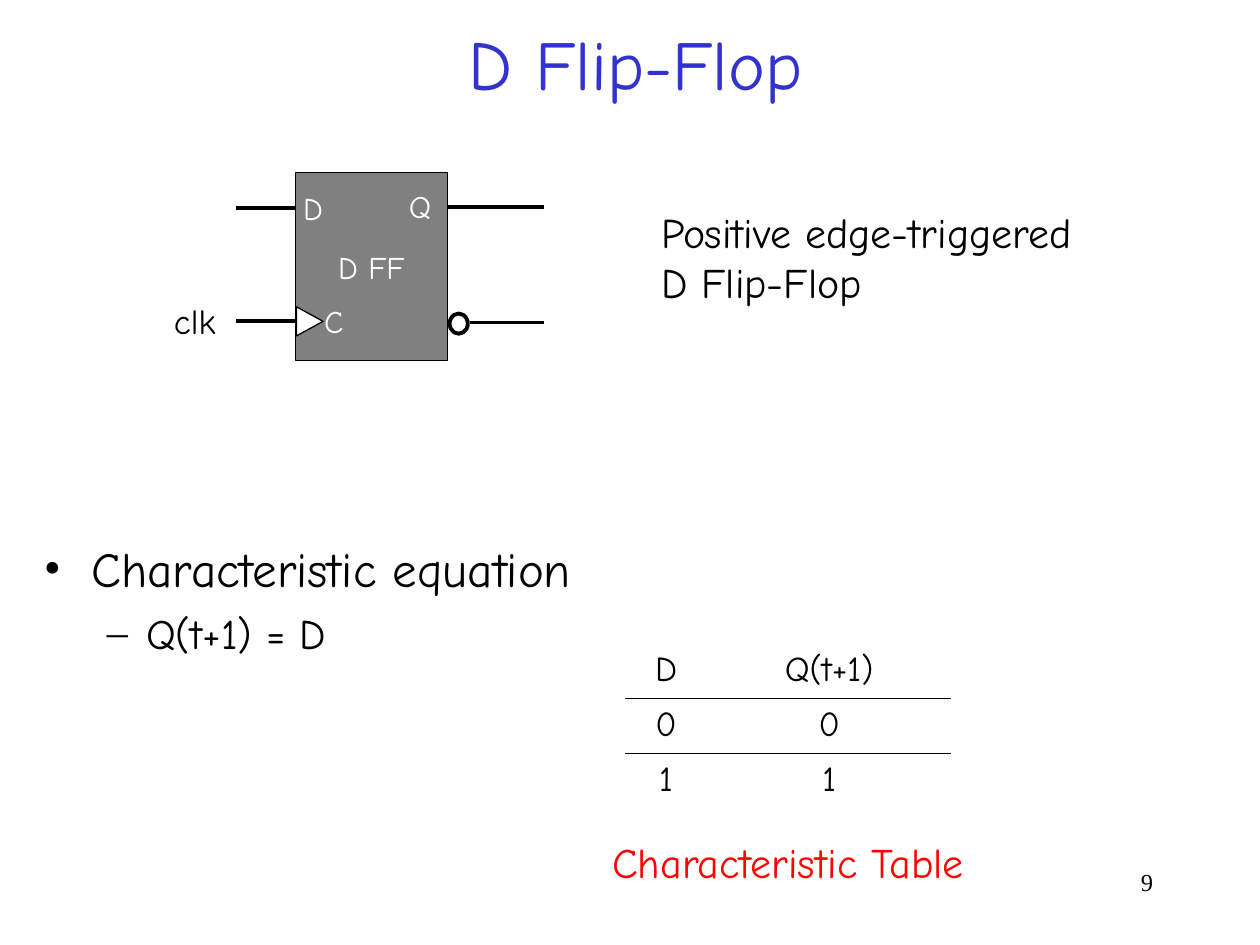
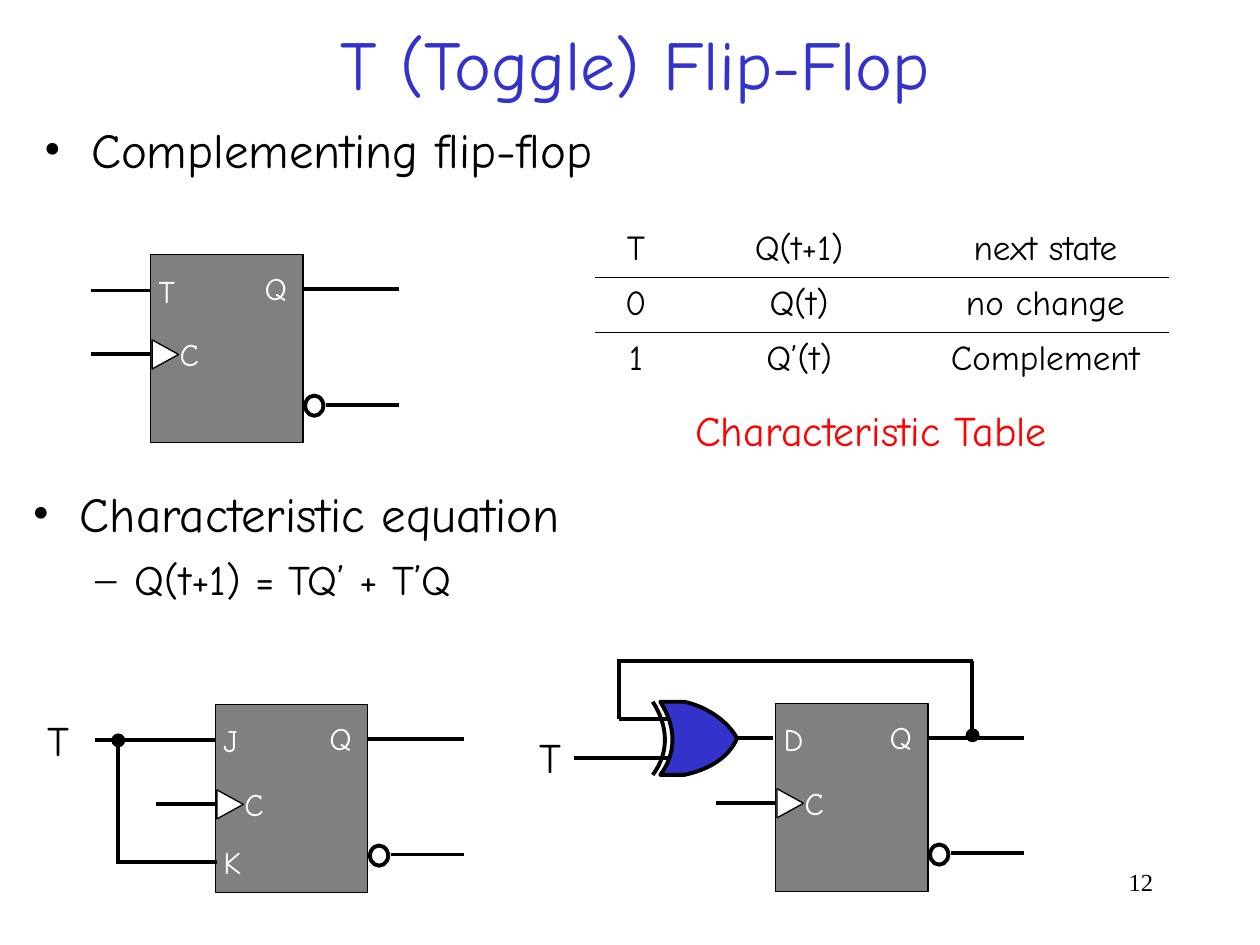
from lxml.etree import SubElement
from pptx import Presentation
from pptx.dml.color import RGBColor
from pptx.enum.shapes import MSO_CONNECTOR, MSO_SHAPE
from pptx.enum.text import MSO_ANCHOR, MSO_AUTO_SIZE, PP_ALIGN
from pptx.oxml import parse_xml
from pptx.oxml.ns import nsdecls, qn
from pptx.util import Pt

BLACK, WHITE, GREY, BLUE, RED = "000000", "FFFFFF", "808080", "3333CC", "FF0000"
HAND, SERIF = "Comic Neue", "Times New Roman"
THIN, THICK = 0.75, 2.25
PLAIN_TABLE = "{2D5ABB26-0587-4C30-8999-92F81FD0307C}"
# bullet sign, left margin, first-line indent, size, space before
LEVELS = [("•", 27, -27, 28, 0), ("–", 58.5, -22.5, 24, 6)]


def ink(code):
    return RGBColor.from_string(code)


def put(thing, **values):
    for name, value in values.items():
        setattr(thing, name, value)


def bend(a, b, c, d, steps=16):
    """Points along a cubic curve from a to d."""
    points = []
    for i in range(steps + 1):
        t = i / steps
        s = 1 - t
        points.append(tuple(s**3 * p + 3 * s * s * t * q + 3 * s * t * t * r + t**3 * u
                            for p, q, r, u in zip(a, b, c, d)))
    return points


class Deck:
    def __init__(self):
        self.file = Presentation()
        put(self.file, slide_width=Pt(720), slide_height=Pt(540))
        self.slide = None

    def page(self, title, number):
        self.slide = self.file.slides.add_slide(self.file.slide_layouts[5])
        head = self.slide.shapes.title
        put(head, left=Pt(18), top=Pt(0), width=Pt(690), height=Pt(72))
        put(head.text_frame, vertical_anchor=MSO_ANCHOR.MIDDLE, word_wrap=True,
            auto_size=MSO_AUTO_SIZE.NONE)
        self.say(head.text_frame.paragraphs[0], title, 40, BLUE, PP_ALIGN.CENTER)
        self.text(516, 492, 150, 36, number, 14, align=PP_ALIGN.RIGHT, face=SERIF)

    def say(self, para, words, size, color=BLACK, align=PP_ALIGN.LEFT, face=HAND):
        para.alignment = align
        run = para.add_run()
        run.text = words
        put(run.font, size=Pt(size), name=face, bold=False)
        run.font.color.rgb = ink(color)

    def box(self, x, y, wide, high, inset=True):
        frame = self.slide.shapes.add_textbox(Pt(x), Pt(y), Pt(wide), Pt(high)).text_frame
        side, edge = (Pt(7.2), Pt(3.6)) if inset else (0, 0)
        put(frame, word_wrap=True, margin_left=side, margin_right=side,
            margin_top=edge, margin_bottom=edge)
        return frame

    def text(self, x, y, wide, high, words, size, color=BLACK, inset=True, **look):
        frame = self.box(x, y, wide, high, inset)
        for i, line in enumerate(words.split("\n")):
            para = frame.add_paragraph() if i else frame.paragraphs[0]
            self.say(para, line, size, color, **look)

    def label(self, x, y, words, size=18, color=WHITE):
        self.text(x, y, 40, 22, words, size, color, inset=False)

    def points(self, x, y, high, *lines):
        """Bulleted lines, each one level below the line before."""
        frame = self.box(x, y, 690, high)
        for i, (line, level) in enumerate(zip(lines, LEVELS)):
            sign, margin, indent, size, gap = level
            para = frame.add_paragraph() if i else frame.paragraphs[0]
            put(para, level=i, space_before=Pt(gap))
            props = para._p.get_or_add_pPr()
            props.set("marL", str(Pt(margin)))
            props.set("indent", str(Pt(indent)))
            SubElement(props, qn("a:buFont")).set("typeface", SERIF)
            SubElement(props, qn("a:buChar")).set("char", sign)
            self.say(para, line, size)

    def paint(self, shape, fill, weight):
        shape.shadow.inherit = False
        if fill:
            shape.fill.solid()
            shape.fill.fore_color.rgb = ink(fill)
        else:
            shape.fill.background()
        shape.line.color.rgb = ink(BLACK)
        shape.line.width = Pt(weight)

    def shape(self, kind, x, y, wide, high, fill=None, weight=THIN):
        item = self.slide.shapes.add_shape(kind, Pt(x), Pt(y), Pt(wide), Pt(high))
        self.paint(item, fill, weight)
        return item

    def dot(self, x, y):
        self.shape(MSO_SHAPE.OVAL, x - 3.6, y - 3.6, 7.2, 7.2, BLACK)

    def wire(self, x1, y1, x2, y2):
        line = self.slide.shapes.add_connector(
            MSO_CONNECTOR.STRAIGHT, Pt(x1), Pt(y1), Pt(x2), Pt(y2))
        line.line.color.rgb = ink(BLACK)
        line.line.width = Pt(THICK)
        SubElement(line._element.spPr, qn("a:effectLst"))

    def curve(self, spots, fill=None, close=False):
        first, *rest = [(Pt(x), Pt(y)) for x, y in spots]
        pen = self.slide.shapes.build_freeform(*first)
        pen.add_line_segments(rest, close=close)
        self.paint(pen.convert_to_shape(), fill, THICK)

    def xor(self, x, y):
        """XOR gate whose rear arc starts at x, y."""
        def at(*spots):
            return [(x + dx, y + dy) for dx, dy in spots]

        top = bend(*at((18, 0), (31.6, 3), (43.2, 11.6), (48.2, 20.9)))
        low = bend(*at((48.2, 20.9), (43.2, 32.4), (31.6, 38.9), (18, 41.8)))
        rear = bend(*at((4.3, 41.8), (13.6, 29.6), (13.6, 14.4), (4.3, 0)))
        self.curve(top + low + rear, BLUE, close=True)
        self.curve([(px - 4.3, py) for px, py in rear])

    def flip(self, x, y, pin, lead=34, clock=57, name=""):
        """Flip-flop with its top left corner at x, y."""
        body = self.shape(MSO_SHAPE.RECTANGLE, x, y, 87, 107.3, GREY)
        if name:
            frame = body.text_frame
            frame.vertical_anchor = MSO_ANCHOR.MIDDLE
            self.say(frame.paragraphs[0], name, 18, WHITE, PP_ALIGN.CENTER)
        if lead:
            self.wire(x, y + 20.5, x - lead, y + 20.5)
        self.wire(x, y + clock, x - 34, y + clock)
        self.wire(x + 87, y + 19.5, x + 142, y + 19.5)
        self.wire(x + 100, y + 85.7, x + 142, y + 85.7)
        self.shape(MSO_SHAPE.OVAL, x + 88.2, y + 80.6, 10.4, 11.5, weight=THICK)
        notch = self.shape(MSO_SHAPE.ISOSCELES_TRIANGLE, x, y + clock - 7.5, 16.6, 15.1, WHITE)
        notch.rotation = 90
        self.label(x + 4.5, y + 9.7, pin)
        self.label(x + 65, y + 8.2, "Q")
        self.label(x + 16.5, y + clock - 11, "C")

    def table(self, x, y, widths, rows):
        high = 31.2
        grid = self.slide.shapes.add_table(
            len(rows), len(widths), Pt(x), Pt(y), Pt(sum(widths)), Pt(high * len(rows))).table
        put(grid, first_row=False, horz_banding=False)
        grid._tbl.tblPr[0].text = PLAIN_TABLE
        for col, wide in zip(grid.columns, widths):
            col.width = Pt(wide)
        for r, row in enumerate(rows):
            grid.rows[r].height = Pt(high)
            for c, words in enumerate(row):
                cell = grid.cell(r, c)
                cell.fill.background()
                self.say(cell.text_frame.paragraphs[0], words, 20, align=PP_ALIGN.CENTER)
                if r < 2:
                    self.rule(cell, "lnT" if r else "lnB")

    def rule(self, cell, side):
        """Thin black border on one side of a cell."""
        cell._tc.get_or_add_tcPr().insert(0, parse_xml(
            f'<a:{side} {nsdecls("a")} w="{Pt(0.45)}"><a:solidFill>'
            f'<a:srgbClr val="{BLACK}"/></a:solidFill></a:{side}>'))

    def caption(self, x, y):
        self.text(x, y, 240, 36, "Characteristic Table", 24, RED)


def main():
    deck = Deck()

    deck.page("D Flip-Flop", "9")
    deck.points(18, 304, 79, "Characteristic equation", "Q(t+1) = D")
    deck.flip(168.7, 98.6, "D", clock=85, name="D FF")
    deck.label(99.4, 171.4, "clk", 20, BLACK)
    deck.text(370.8, 114.5, 265, 65, "Positive edge-triggered\nD Flip-Flop", 24)
    deck.table(357.2, 368, [46.8, 139.7], [("D", "Q(t+1)"), ("0", "0"), ("1", "1")])
    deck.caption(342.7, 474.5)

    deck.page("T (Toggle) Flip-Flop", "12")
    deck.points(18, 64.8, 45, "Complementing flip-flop")
    deck.flip(86.2, 145.5, "T")
    deck.table(340, 127.4, [46.8, 139.7, 141.8], [
        ("T", "Q(t+1)", "next state"),
        ("0", "Q(t)", "no change"),
        ("1", "Q’(t)", "Complement")])
    deck.caption(390.2, 227.5)
    deck.points(11.5, 273, 77, "Characteristic equation", "Q(t+1) = TQ’ + T’Q")

    # T flip-flop from a JK flip-flop
    deck.flip(123.2, 402.6, "J", lead=69)
    deck.label(127.6, 481.7, "K")
    deck.wire(124.2, 492.4, 66.5, 492.4)
    deck.wire(67.2, 423, 67.2, 492.4)
    deck.dot(67.6, 423.1)
    deck.text(20.2, 404.6, 40, 36, "T", 24)

    # T flip-flop from a D flip-flop and an XOR gate
    deck.flip(443.3, 402, "D", lead=0)
    deck.wire(353.5, 411, 397, 411)
    deck.wire(328.3, 433, 397, 433)
    deck.wire(397, 421.9, 442, 421.9)
    deck.xor(373, 401)
    deck.wire(556, 377.8, 352.5, 377.8)
    deck.wire(555.3, 377.8, 555.3, 420.5)
    deck.wire(353.5, 377.8, 353.5, 411)
    deck.dot(555.8, 420.2)
    deck.text(301, 414.7, 40, 36, "T", 24)

    deck.file.save("out.pptx")


if __name__ == "__main__":
    main()
